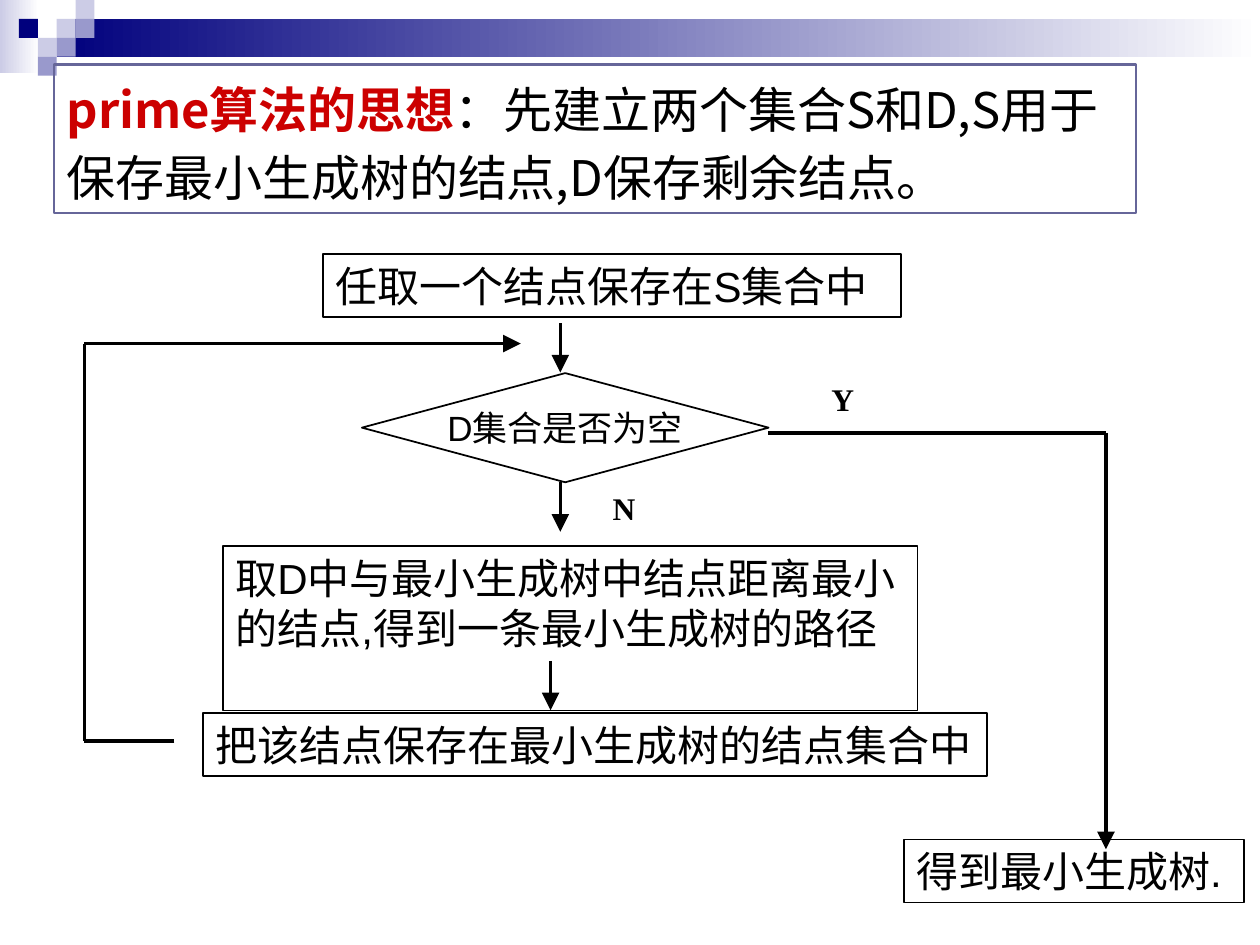
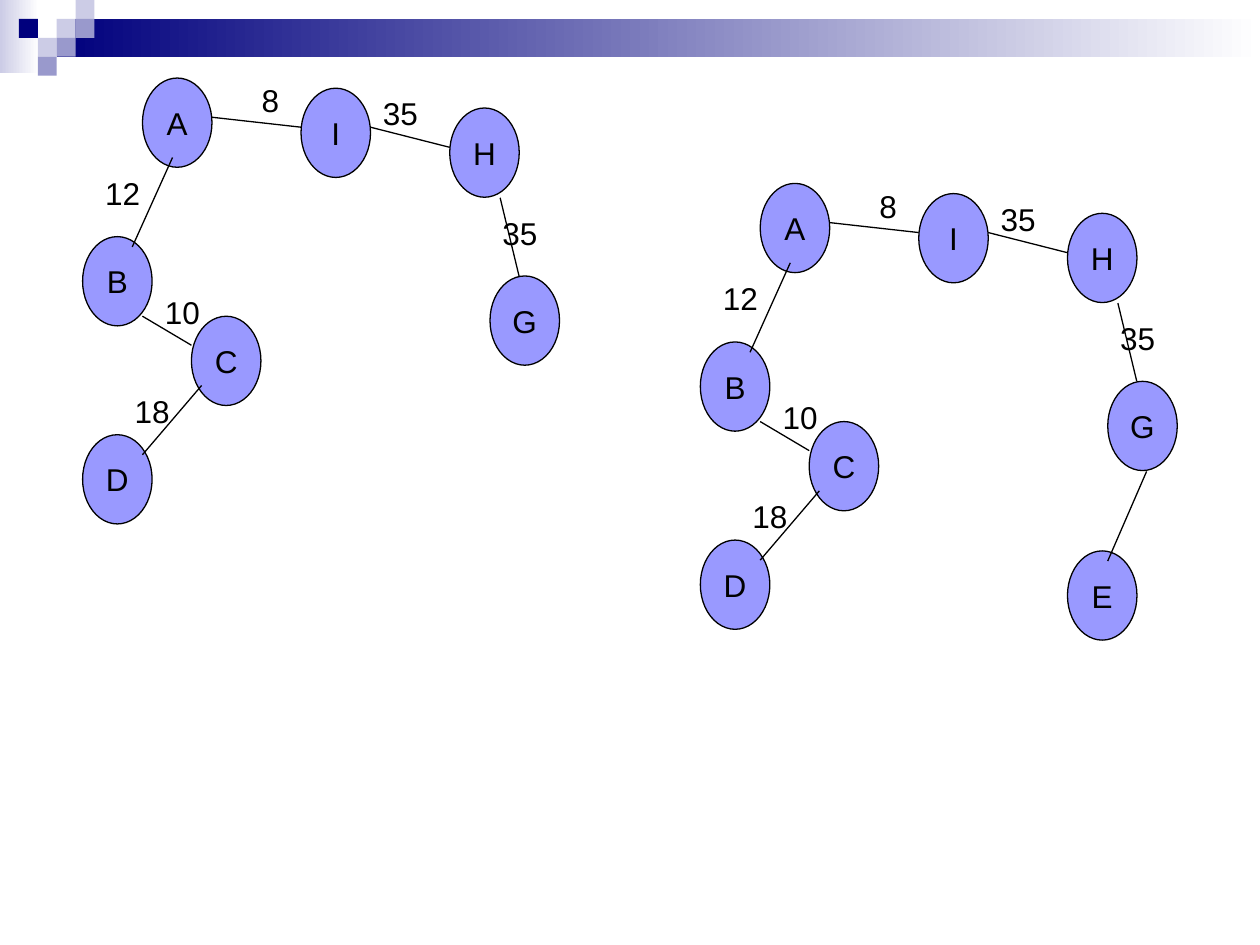
from itertools import pairwise

from lxml.etree import SubElement
from pptx import Presentation
from pptx.dml.color import RGBColor
from pptx.enum.shapes import MSO_CONNECTOR as Connector, MSO_SHAPE as Preset
from pptx.enum.text import MSO_ANCHOR as Anchor, MSO_AUTO_SIZE as AutoSize, PP_ALIGN as Align
from pptx.oxml.ns import qn
from pptx.util import Pt

COLORS = {
    "ink": "000000", "white": "FFFFFF", "navy": "00007D", "lavender": "CCCCE6",
    "violet": "9999CC", "frame": "666699", "accent": "CC0000", "node": "9999FF",
}
CJK_FONT = "Noto Sans CJK SC"
CELL = 10.8
NODE_SIZE = (39.7, 51)
LABEL_HEIGHT = 28.8

MOSAIC = [
    (3, 1, "lavender"), (4, 0, "lavender"), (4, 1, "violet"), (2, 2, "lavender"),
    (1, 1, "navy"), (3, 2, "violet"), (2, 3, "violet"),
]
NODES = {
    "G": (280, 157.7), "H": (257, 61.7), "D": (47.2, 248.4), "C": (109.4, 180.7),
    "I": (172, 50.4), "B": (47.2, 135.2), "A": (81.4, 44.6),
}
EDGES = [
    ((98.6, 90), (75.6, 141.1), "12", (53, 95.8), 73.4),
    ((121, 67), (172, 72.7), "8", (142.4, 43), 34),
    ((81.4, 180.7), (109.4, 197.3), "10", (87.1, 163.8), 62.6),
    ((115.2, 220.3), (81.4, 259.9), "18", (69.8, 220.3), 51.1),
    ((211.7, 72.7), (257, 84.2), "35", (211.7, 50.4), 56.9),
    ((285.8, 113), (296.6, 157.7), "35", (280, 118.5), 56.9),
]


def color(name):
    return RGBColor.from_string(COLORS[name])


def style_span(span, size, font="Arial", ink="ink", bold=False):
    span.font.name = font
    span.font.size = Pt(size)
    span.font.bold = bold
    span.font.color.rgb = color(ink)
    SubElement(span.font._element, qn("a:ea")).set("typeface", CJK_FONT)


def add_preset(page, preset, left, top, width, height, fill=None, line=None, line_width=1):
    shape = page.shapes.add_shape(preset, Pt(left), Pt(top), Pt(width), Pt(height))
    shape.shadow.inherit = False
    if fill:
        shape.fill.solid()
        shape.fill.fore_color.rgb = color(fill)
    else:
        shape.fill.background()
    if line:
        shape.line.color.rgb = color(line)
        shape.line.width = Pt(line_width)
    else:
        shape.line.fill.background()
    return shape


def write_text(box, text, size, wrap=True, centered=False, **style):
    frame = box.text_frame
    frame.text = text
    frame.word_wrap = wrap
    frame.vertical_anchor = Anchor.MIDDLE if centered else Anchor.TOP
    frame.auto_size = AutoSize.NONE if centered else AutoSize.SHAPE_TO_FIT_TEXT
    para = frame.paragraphs[0]
    para.alignment = Align.CENTER if centered else Align.LEFT
    style_span(para.runs[0], size, **style)
    return para


def add_band(page, left, top, width, height, start):
    band = add_preset(page, Preset.RECTANGLE, left, top, width, height)
    band.fill.gradient()
    band.fill.gradient_angle = 0
    for stop, name in zip(band.fill.gradient_stops, (start, "white")):
        stop.color.rgb = color(name)


def add_page(deck):
    page = deck.slides.add_slide(deck.slide_layouts[6])
    add_band(page, 0, 0, 22.3, 41.8, "lavender")
    add_band(page, 3 * CELL, CELL, 720 - 3 * CELL, 2 * CELL, "navy")
    for column, row, fill in MOSAIC:
        add_preset(page, Preset.RECTANGLE, column * CELL, row * CELL, CELL, CELL, fill)
    return page


def add_arrowhead(line):
    head = SubElement(line.line._get_or_add_ln(), qn("a:tailEnd"))
    for key, value in (("type", "triangle"), ("w", "lg"), ("len", "lg")):
        head.set(key, value)


def add_route(page, *points, width=2, arrow=True):
    for start, end in pairwise(points):
        line = page.shapes.add_connector(Connector.STRAIGHT, *map(Pt, start + end))
        line.line.color.rgb = color("ink")
        line.line.width = Pt(width)
        if arrow and end == points[-1]:
            add_arrowhead(line)
        SubElement(line._element.spPr, qn("a:effectLst"))


def add_label(page, text, left, top, width, **style):
    box = page.shapes.add_textbox(Pt(left), Pt(top), Pt(width), Pt(LABEL_HEIGHT))
    write_text(box, text, 18, **style)


def add_step(page, text, left, top, width, height=36, wrap=True):
    box = add_preset(page, Preset.RECTANGLE, left, top, width, height, line="ink")
    write_text(box, text, 24, wrap)


def add_node(page, name, left, top):
    node = add_preset(page, Preset.OVAL, left, top, *NODE_SIZE, "node", "ink", 0.75)
    write_text(node, name, 18, wrap=False, centered=True)


def add_idea(page):
    box = add_preset(page, Preset.RECTANGLE, 31, 36.9, 618, 85, line="frame", line_width=1.25)
    para = write_text(box, "prime算法的思想", 28, font=CJK_FONT, ink="accent", bold=True)
    para.line_spacing = 1.15
    span = para.add_run()
    span.text = "：先建立两个集合S和D,S用于保存最小生成树的结点,D保存剩余结点。"
    style_span(span, 28, font=CJK_FONT)


def add_flowchart(page):
    add_step(page, "任取一个结点保存在S集合中", 184.7, 145.2, 330, wrap=False)
    add_step(page, "取D中与最小生成树中结点距离最小的结点,得到一条最小生成树的路径",
             127.5, 312, 396.8, 94)
    add_step(page, "把该结点保存在最小生成树的结点集合中", 116.2, 407.4, 448)
    add_step(page, "得到最小生成树.", 516.4, 479.8, 194.6, wrap=False)
    decision = add_preset(page, Preset.DIAMOND, 206.8, 213.2, 232.4, 62.4, line="ink")
    write_text(decision, "D集合是否为空", 20, wrap=False, centered=True)
    for x, top in ((320.2, 184.6), (320.2, 275.6), (314.6, 377.6)):
        add_route(page, (x, top), (x, top + 28.3))
    add_route(page, (439, 247.5), (632, 247.5), (632, 485.3))
    add_route(page, (99.6, 423.3), (48.2, 423.3), (48.2, 196.3), (297.6, 196.3))
    for text, left, top in (("Y", 468, 213.6), ("N", 343, 276)):
        add_label(page, text, left, top, 34, font="Times New Roman", bold=True)


def add_tree(page, dx=0, dy=0, with_e=False):
    def moved(point):
        return point[0] + dx, point[1] + dy

    nodes = NODES | ({"E": (257, 254.6)} if with_e else {})
    for name, corner in nodes.items():
        add_node(page, name, *moved(corner))
    for start, end, weight, corner, width in EDGES:
        add_route(page, moved(start), moved(end), width=0.75, arrow=False)
        add_label(page, weight, *moved(corner), width)
    if with_e:
        add_route(page, moved((302.2, 209.2)), moved((280, 260.4)), width=0.75, arrow=False)


def main():
    deck = Presentation()
    deck.slide_width, deck.slide_height = Pt(720), Pt(540)
    idea_page = add_page(deck)
    add_idea(idea_page)
    add_flowchart(idea_page)
    tree_page = add_page(deck)
    add_tree(tree_page)
    add_tree(tree_page, 353, 60.2, with_e=True)
    deck.save("out.pptx")


if __name__ == "__main__":
    main()
